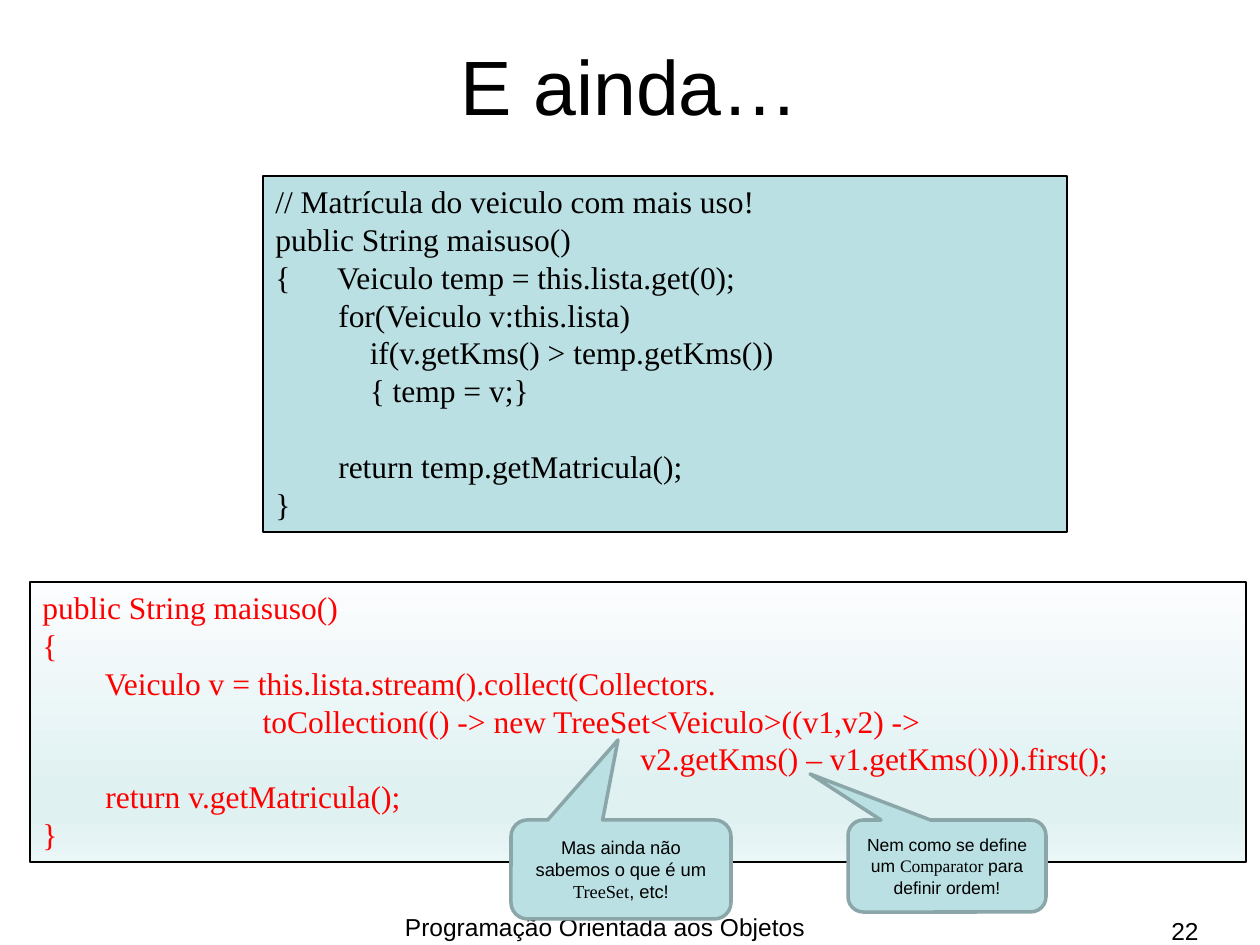
from dataclasses import dataclass

from lxml.etree import SubElement
from pptx import Presentation
from pptx.dml.color import RGBColor
from pptx.enum.shapes import MSO_SHAPE
from pptx.enum.text import MSO_ANCHOR, PP_ALIGN
from pptx.oxml.ns import qn
from pptx.util import Emu, Pt

SCALE = 914400 / 126


@dataclass(frozen=True)
class Theme:
    sans: str = "Arial"
    serif: str = "Times New Roman"
    black: str = "000000"
    red: str = "FF0000"
    aqua: str = "BBE0E3"
    edge: str = "8AA6A8"
    fade: tuple = ((0, "FCFDFE"), (74, "E0F1F2"), (83, "E0F1F2"), (100, "EBF6F7"))
    title: float = 44
    code: float = 18
    foot: float = 14


THEME = Theme()

LOOP = """// Matrícula do veiculo com mais uso!
public String maisuso()
{      Veiculo temp = this.lista.get(0);
        for(Veiculo v:this.lista)
            if(v.getKms() > temp.getKms())
            { temp = v;}

        return temp.getMatricula();
}"""

STREAM = """public String maisuso()
{
        Veiculo v = this.lista.stream().collect(Collectors.
                            toCollection(() -> new TreeSet<Veiculo>((v1,v2) ->
                                                                            v2.getKms() – v1.getKms()))).first();
        return v.getMatricula();
}"""


def px(*sizes):
    return [Emu(round(size * SCALE)) for size in sizes]


def color(code):
    return RGBColor.from_string(code)


def style(para, face, size, ink, align):
    para.alignment = align
    para.font.name = face
    para.font.size = Pt(size)
    para.font.color.rgb = color(ink)


def add_label(slide, box, text, size, align, anchor=MSO_ANCHOR.TOP):
    frame = slide.shapes.add_textbox(*px(*box)).text_frame
    frame.word_wrap = True
    frame.vertical_anchor = anchor
    frame.text = text
    style(frame.paragraphs[0], THEME.sans, size, THEME.black, align)


def add_panel(slide, kind, box, line, width, anchor):
    panel = slide.shapes.add_shape(kind, *px(*box))
    panel.shadow.inherit = False
    panel.fill.solid()
    panel.fill.fore_color.rgb = color(THEME.aqua)
    panel.line.color.rgb = color(line)
    panel.line.width = Pt(width)
    panel.text_frame.word_wrap = True
    panel.text_frame.vertical_anchor = anchor
    return panel


def add_code(slide, box, text, ink):
    panel = add_panel(slide, MSO_SHAPE.RECTANGLE, box, THEME.black, 0.75, MSO_ANCHOR.TOP)
    panel.text_frame.text = text
    for para in panel.text_frame.paragraphs:
        style(para, THEME.serif, THEME.code, ink, PP_ALIGN.LEFT)
    return panel


def fade_down(shape, stops):
    """Fill the shape from top to bottom with (percent, colour) stops."""
    shape.fill.gradient()
    shape.fill.gradient_angle = 270
    group = next(shape.element.spPr.iter(qn("a:gsLst")))
    for stop in list(group):
        group.remove(stop)
    for place, code in stops:
        stop = SubElement(group, qn("a:gs"), pos=str(place * 1000))
        SubElement(stop, qn("a:srgbClr"), val=code)


def add_callout(slide, box, tip, words, size):
    """Add a balloon pointing at tip; the middle one of words is code."""
    left, top, width, height = box
    balloon = add_panel(slide, MSO_SHAPE.ROUNDED_RECTANGULAR_CALLOUT, box,
                        THEME.edge, 2, MSO_ANCHOR.MIDDLE)
    balloon.adjustments[0] = (tip[0] - left) / width - 0.5
    balloon.adjustments[1] = (tip[1] - top) / height - 0.5
    para = balloon.text_frame.paragraphs[0]
    for word in words:
        para.add_run().text = word
    style(para, THEME.sans, size, THEME.black, PP_ALIGN.CENTER)
    para.runs[1].font.name = THEME.serif


def main():
    deck = Presentation()
    deck.slide_width, deck.slide_height = px(1260, 945)
    slide = deck.slides.add_slide(deck.slide_layouts[6])

    add_label(slide, (63, 6, 1134, 158), "E ainda…", THEME.title,
              PP_ALIGN.CENTER, MSO_ANCHOR.MIDDLE)
    add_label(slide, (312, 906, 586, 39), "Programação Orientada aos Objetos",
              THEME.foot, PP_ALIGN.CENTER)
    add_label(slide, (917, 910, 294, 26), "22", THEME.foot, PP_ALIGN.RIGHT)

    add_code(slide, (263, 176, 804, 356), LOOP, THEME.black)
    stream = add_code(slide, (30, 582, 1216, 280), STREAM, THEME.red)
    fade_down(stream, THEME.fade)

    add_callout(slide, (511, 820, 220, 99), (618, 740),
                ("Mas ainda não sabemos o que é um ", "TreeSet", ", etc!"), 10.5)
    add_callout(slide, (848, 820, 198, 92), (810, 774),
                ("Nem como se define um ", "Comparator", " para definir ordem!"), 10)

    deck.save("out.pptx")


if __name__ == "__main__":
    main()
